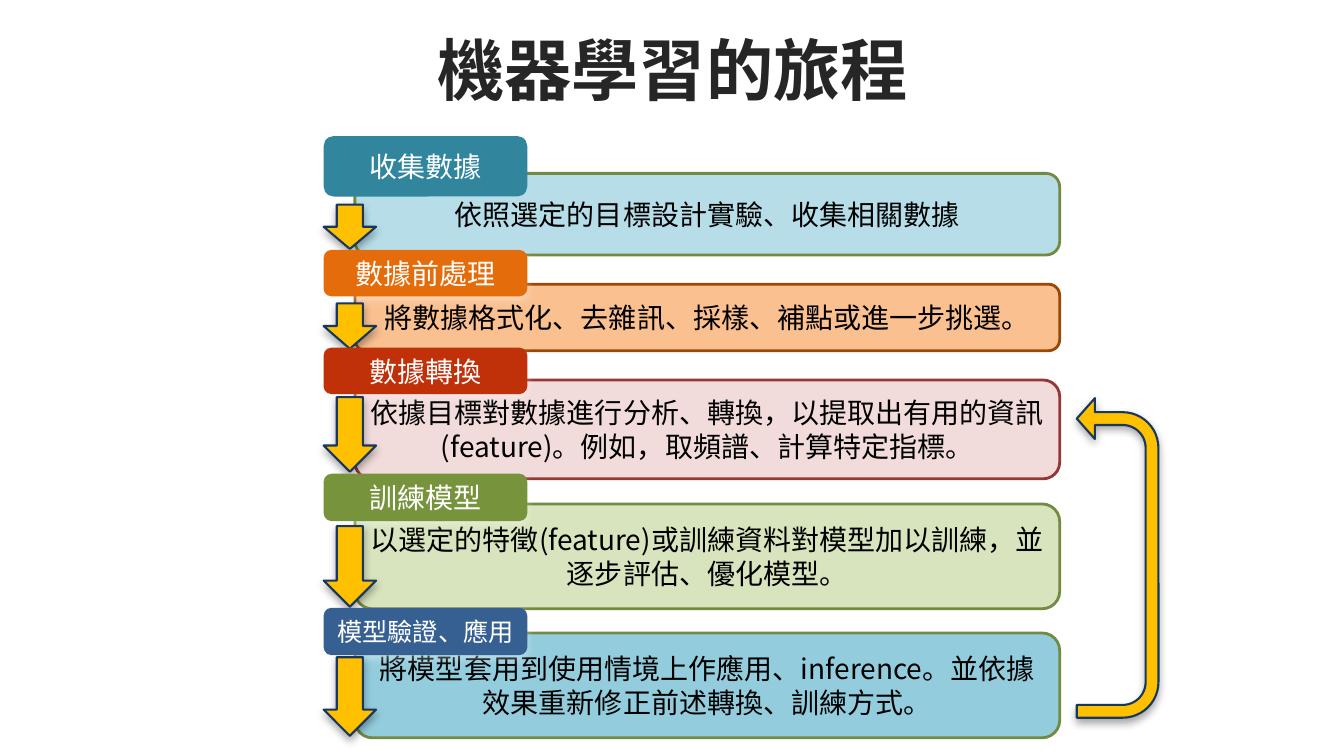
"""Build a slide showing the five stages of a machine learning journey."""
from lxml.etree import SubElement
from pptx import Presentation
from pptx.dml.color import RGBColor
from pptx.enum.shapes import MSO_SHAPE
from pptx.enum.text import MSO_ANCHOR, PP_ALIGN
from pptx.oxml.ns import qn
from pptx.util import Inches, Pt

FONT = "Noto Sans CJK SC"
ARROW_FILL, ARROW_LINE = "FFC000", "17375E"

presentation = Presentation()
presentation.slide_width = Inches(13.33)
presentation.slide_height = Inches(7.5)
slide = presentation.slides.add_slide(presentation.slide_layouts[6])
cell = presentation.slide_height / 75


def draw(kind, column, row, columns, rows, fill, line=None, width=2, shadow=None):
    """Add a filled shape placed on the grid of square cells."""
    box = [round(length * cell) for length in (column, row, columns, rows)]
    shape = slide.shapes.add_shape(kind, *box)
    shape.shadow.inherit = False
    shape.fill.solid()
    shape.fill.fore_color.rgb = RGBColor.from_string(fill)
    if line:
        shape.line.color.rgb = RGBColor.from_string(line)
        shape.line.width = Pt(width)
    else:
        shape.line.fill.background()
    if shadow:
        effects = shape._element.spPr.find(qn("a:effectLst"))
        outer = SubElement(effects, qn("a:outerShdw"), blurRad=str(Pt(6)),
                           dist=str(Pt(3)), dir="5400000", rotWithShape="0")
        color = SubElement(outer, qn("a:srgbClr"), val=shadow)
        SubElement(color, qn("a:alpha"), val="35000")
    return shape


def write(shape, text, size, color, bold=False):
    """Put centred text in a shape."""
    text_frame = shape.text_frame
    text_frame.text = text
    text_frame.word_wrap = True
    text_frame.vertical_anchor = MSO_ANCHOR.MIDDLE
    text_frame.margin_left = text_frame.margin_right = round(cell)
    text_frame.margin_top = text_frame.margin_bottom = round(cell)
    paragraph = text_frame.paragraphs[0]
    paragraph.alignment = PP_ALIGN.CENTER
    font = paragraph.runs[0].font
    font.size = Pt(size)
    font.bold = bold
    font.color.rgb = RGBColor.from_string(color)
    font.name = FONT
    SubElement(font._element, qn("a:ea"), typeface=FONT)


title = slide.shapes.add_textbox(*[round(n * cell) for n in (6.7, 0.6, 120, 12.5)])
write(title, "機器學習的旅程", 48, "262626", bold=True)

stages = [
    ("收集數據", 20, "31859C", None, 13.5, 6,
     "依照選定的目標設計實驗、收集相關數據", "B7DEE8", "738A42", 17.2, 8.1,
     20.3, 4.4),
    ("數據前處理", 20, "E46C0A", "FFFFFF", 24.8, 4.6,
     "將數據格式化、去雜訊、採樣、補點或進一步挑選。", "FAC090", "984807", 28.2, 6.6,
     30.1, 4.5),
    ("數據轉換", 20, "C0310A", "FFFFFF", 34.5, 4.6,
     "依據目標對數據進行分析、轉換，以提取出有用的資訊(feature)。例如，取頻譜、計算特定指標。",
     "F2DCDB", "953735", 37.7, 9.8,
     39.4, 7.4),
    ("訓練模型", 20, "77933C", "FFFFFF", 47, 4.7,
     "以選定的特徵(feature)或訓練資料對模型加以訓練，並逐步評估、優化模型。",
     "D7E4BD", "738A42", 50, 10.4,
     52.2, 8),
    ("模型驗證、應用", 18, "376092", "FFFFFF", 60.3, 4.7,
     "將模型套用到使用情境上作應用、inference。並依據效果重新修正前述轉換、訓練方式。",
     "93CDDD", "738A42", 62.8, 10.4,
     65.2, 7.8),
]

for (name, name_size, name_fill, name_shadow, name_row, name_rows,
     detail, detail_fill, detail_line, detail_row, detail_rows,
     arrow_row, arrow_rows) in stages:
    panel = draw(MSO_SHAPE.ROUNDED_RECTANGLE, 35.2, detail_row, 69.9, detail_rows,
                 detail_fill, detail_line)
    write(panel, detail, 20, "000000")
    label = draw(MSO_SHAPE.ROUNDED_RECTANGLE, 32.1, name_row, 20.2, name_rows,
                 name_fill, shadow=name_shadow)
    write(label, name, name_size, "FFFFFF")
    draw(MSO_SHAPE.DOWN_ARROW, 32.1, arrow_row, 5.2, arrow_rows,
         ARROW_FILL, ARROW_LINE, 1.5, "000000")

feedback = draw(MSO_SHAPE.U_TURN_ARROW, 95, 51.3, 31.7, 8.1,
                ARROW_FILL, ARROW_LINE, 1.5, "000000")
for index, share in enumerate((0.157, 0.25, 0.222, 0.438, 1)):
    feedback.adjustments[index] = share
feedback.rotation = 90
feedback._element.spPr.find(qn("a:xfrm")).set("flipH", "1")

presentation.save("out.pptx")
